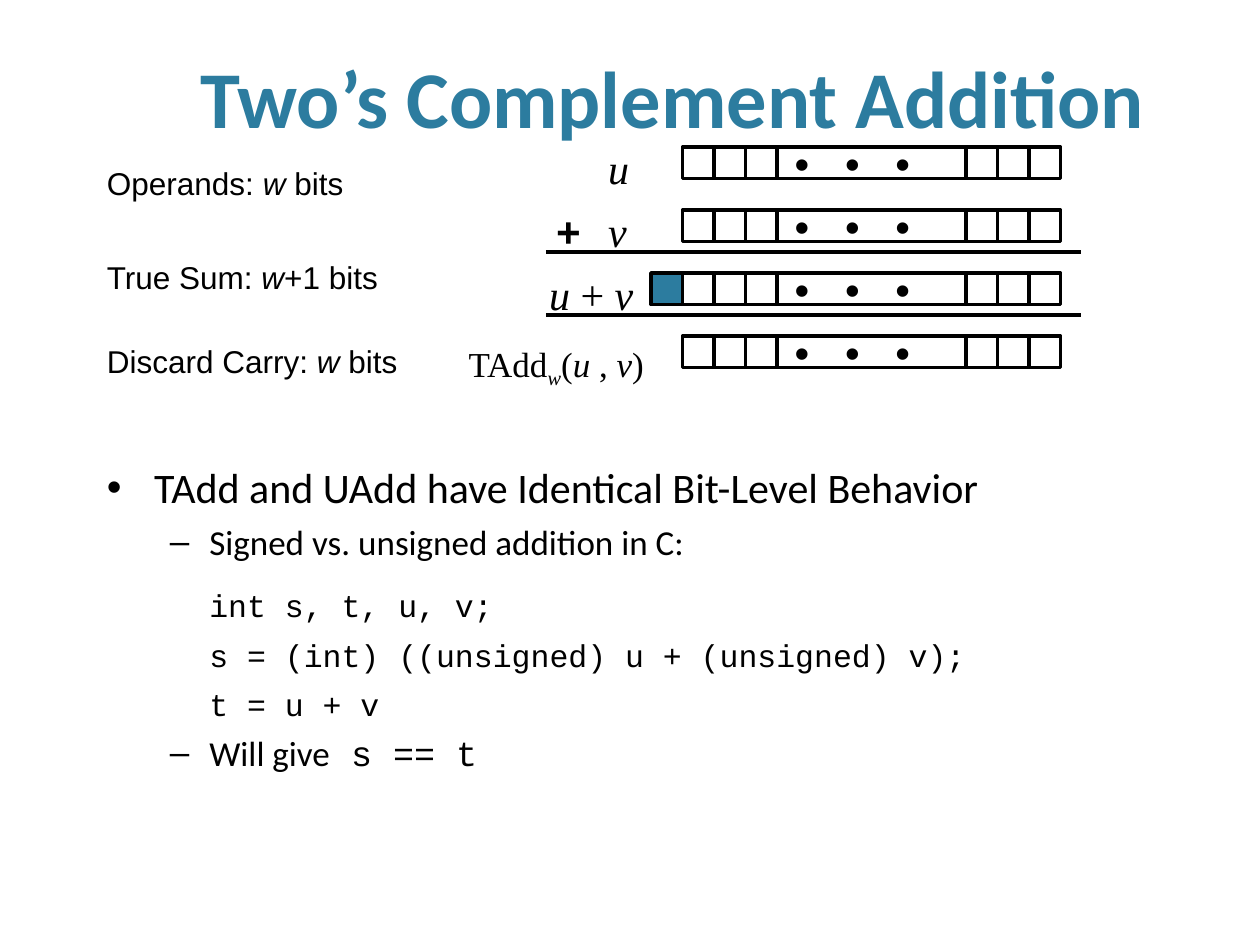
from pptx import Presentation
from pptx.dml.color import RGBColor
from pptx.enum.shapes import MSO_CONNECTOR, MSO_SHAPE
from pptx.enum.text import MSO_ANCHOR, MSO_AUTO_SIZE, PP_ALIGN
from pptx.oxml.ns import qn
from pptx.util import Emu, Pt
from lxml.etree import SubElement

BLACK = RGBColor(0x00, 0x00, 0x00)
WHITE = RGBColor(0xFF, 0xFF, 0xFF)
TEAL = RGBColor(0x2C, 0x7C, 0x9F)
SANS, BODY, MONO, SERIF = "Arial", "Calibri", "Courier New", "Times New Roman"
CELL, STEP, LEFT, TOP = 24, 48, 520, 112
DOTS = "• • •"


def px(size):
    return Emu(size * 9525)


class Deck:
    def __init__(self):
        self.show = Presentation()
        self.show.slide_width, self.show.slide_height = px(960), px(720)
        self.slide = self.show.slides.add_slide(self.show.slide_layouts[6])
        self.shapes = self.slide.shapes

    def style(self, run, face, size, color=BLACK, bold=False, italic=False):
        font = run.font
        font.name, font.size = face, Pt(size)
        font.bold, font.italic = bold, italic
        font.color.rgb = color

    def frame(self, x, y, wide, high, wrap=True):
        box = self.shapes.add_textbox(px(x), px(y), px(wide), px(high))
        box.text_frame.word_wrap = wrap
        return box.text_frame

    def label(self, text, x, y, wide, high, face, size,
              align=PP_ALIGN.LEFT, wrap=False, bold=False, color=BLACK):
        frame = self.frame(x, y, wide, high, wrap)
        para = frame.paragraphs[0]
        para.alignment = align
        for index, part in enumerate(text.split("*")):
            if part:
                run = para.add_run()
                run.text = part
                self.style(run, face, size, color, bold, index % 2 == 1)
        return frame

    def note(self, *args, **more):
        frame = self.label(*args, **more)
        frame.auto_size = MSO_AUTO_SIZE.SHAPE_TO_FIT_TEXT
        return frame.paragraphs[0].runs

    def cell(self, group, x, y, wide=CELL, fill=WHITE):
        box = group.shapes.add_shape(
            MSO_SHAPE.RECTANGLE, px(x), px(y), px(wide), px(CELL))
        box.shadow.inherit = False
        box.fill.solid()
        box.fill.fore_color.rgb = fill
        box.line.color.rgb = BLACK
        box.line.width = Pt(2)
        return box

    def word(self, row, carry=False):
        group = self.shapes.add_group_shape()
        y = TOP + row * STEP
        for slot in (0, 1, 2, 9, 10, 11):
            self.cell(group, LEFT + slot * CELL, y)
        frame = self.cell(group, LEFT + 3 * CELL, y, 6 * CELL).text_frame
        frame.text = DOTS
        frame.word_wrap = False
        frame.vertical_anchor = MSO_ANCHOR.MIDDLE
        frame.paragraphs[0].alignment = PP_ALIGN.LEFT
        self.style(frame.paragraphs[0].runs[0], MONO, 24)
        if carry:
            self.cell(group, LEFT - CELL, y, fill=TEAL)

    def rule(self, y):
        line = self.shapes.add_connector(
            MSO_CONNECTOR.STRAIGHT, px(416), px(y), px(824), px(y))
        line.line.color.rgb = BLACK
        line.line.width = Pt(2)
        SubElement(line._element.spPr, qn("a:effectLst"))

    def item(self, para, parts, level, space, mark):
        props = para._p.get_or_add_pPr()
        margin, hang = ((36, 36), (78, 30))[level]
        props.set("marL", str(px(margin)))
        props.set("indent", str(px(-hang if mark else 0)))
        para.level = level
        para.space_before = Pt(space)
        if mark:
            tint = SubElement(props, qn("a:buClr"))
            SubElement(tint, qn("a:srgbClr")).set("val", str(BLACK))
            face = SubElement(props, qn("a:buFont"))
            face.set("typeface", SANS)
            SubElement(props, qn("a:buChar")).set("char", mark)
        else:
            SubElement(props, qn("a:buNone"))
        for text, face, size in parts:
            run = para.add_run()
            run.text = text
            self.style(run, face, size)

    def bullets(self, items, x, y, wide, high):
        frame = self.frame(x, y, wide, high)
        for index, item in enumerate(items):
            para = frame.add_paragraph() if index else frame.paragraphs[0]
            self.item(para, *item)


def main():
    deck = Deck()
    deck.label("Two’s Complement Addition", 68, 32, 888, 38, BODY, 46,
               align=PP_ALIGN.CENTER, wrap=True, bold=True, color=TEAL)
    deck.bullets([
        ([("TAdd and UAdd have Identical Bit-Level Behavior", BODY, 24)],
         0, 0, "•"),
        ([("Signed vs. unsigned addition in C:", BODY, 20)], 1, 5, "–"),
        ([("int s, t, u, v;", MONO, 18)], 1, 13, None),
        ([("s = (int) ((unsigned) u + (unsigned) v);", MONO, 18)],
         1, 7.5, None),
        ([("t = u + v", MONO, 18)], 1, 6, None),
        ([("Will give", BODY, 20), (" s == t", MONO, 20)], 1, 5, "–"),
    ], 72, 347, 831, 277)

    for row in range(4):
        deck.word(row, carry=row == 2)
    for y in (192, 240):
        deck.rule(y)

    deck.note("*u*", 454, 104, 35, 48, SERIF, 24)
    deck.note("*v*", 454, 152, 34, 48, SERIF, 24)
    deck.note("+", 414, 152, 38, 48, MONO, 24, bold=True)
    deck.note("*u *+ *v*", 408, 200, 84, 48, SERIF, 24, align=PP_ALIGN.RIGHT)
    runs = deck.note("TAdd*w*(*u* , *v*)", 345, 256, 155, 46, SERIF, 20,
                     align=PP_ALIGN.RIGHT)
    runs[1]._r.get_or_add_rPr().set("baseline", "-25000")

    deck.note("Operands: *w* bits", 72, 120, 199, 38, SANS, 18)
    deck.note("True Sum: *w*+1 bits", 72, 192, 227, 38, SANS, 18)
    deck.note("Discard Carry: *w* bits", 72, 256, 256, 38, SANS, 18, wrap=True)
    deck.show.save("out.pptx")


if __name__ == "__main__":
    main()
